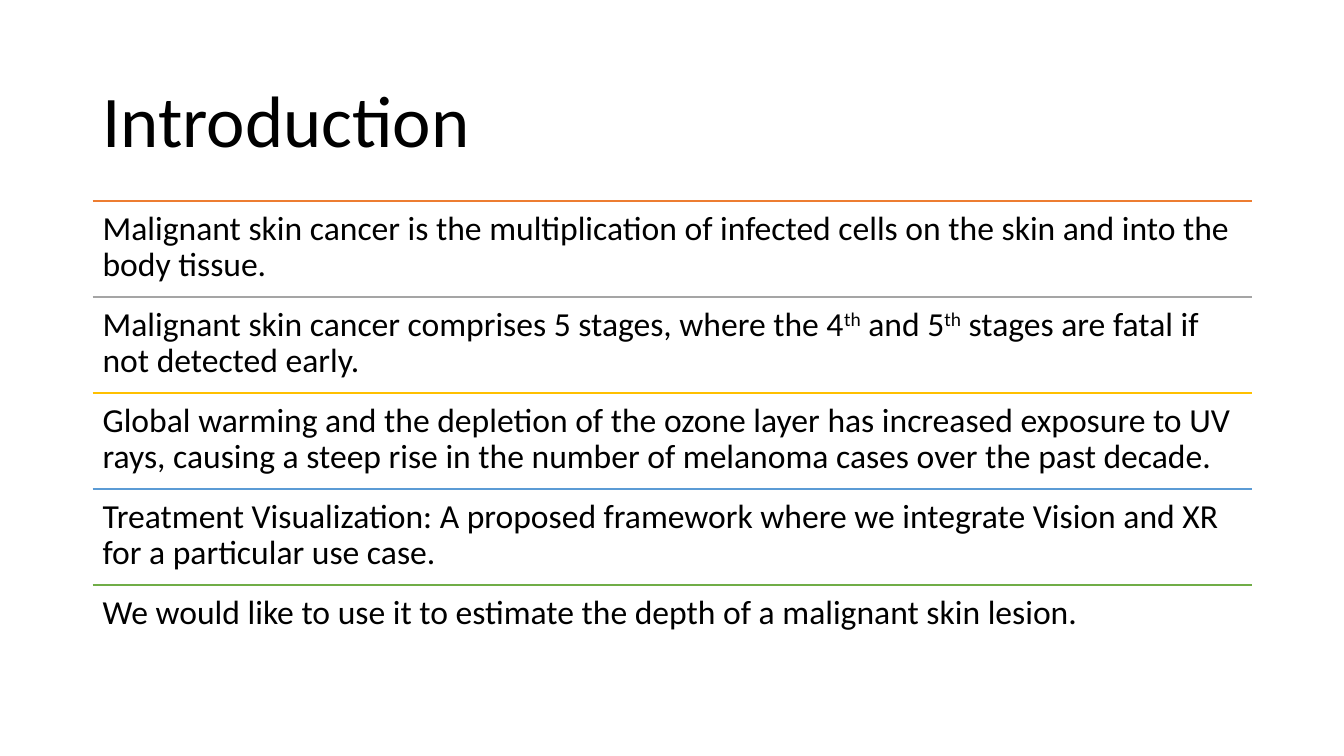
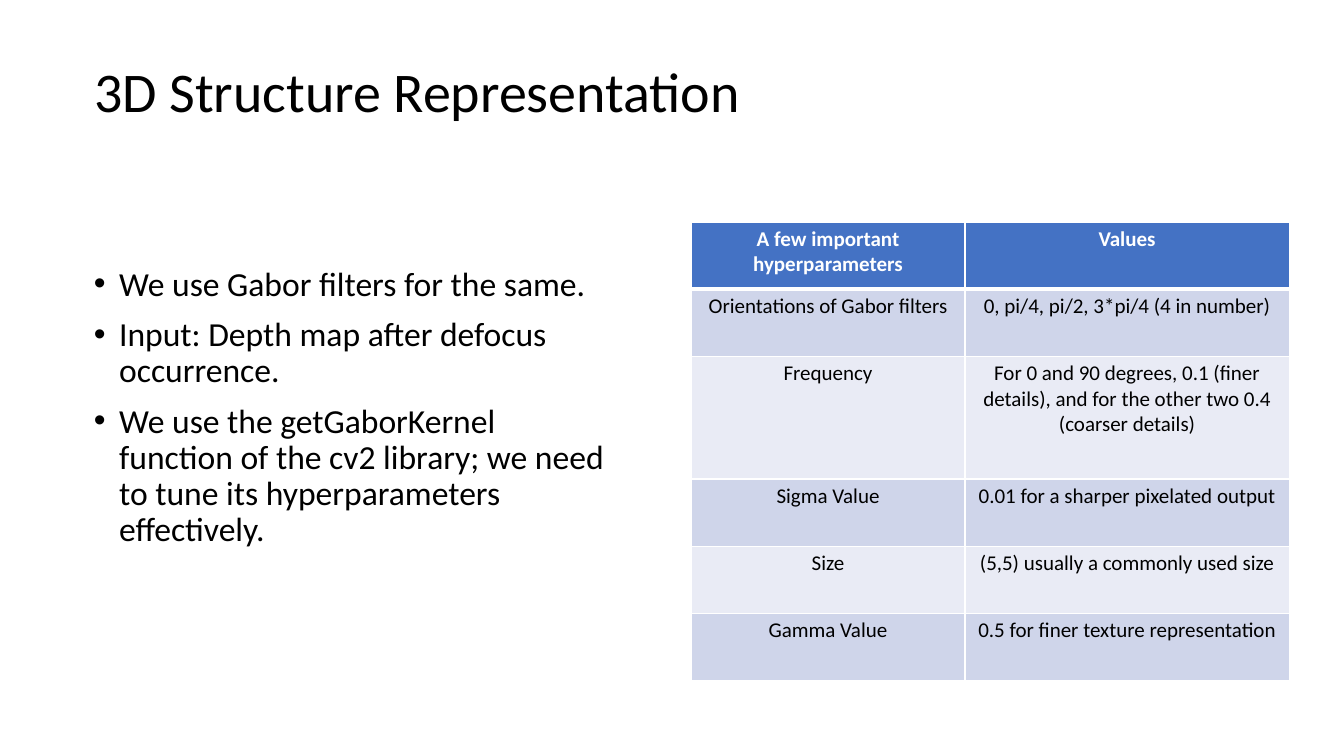
from lxml import etree
from pptx import Presentation
from pptx import util as u
from pptx.dml.color import RGBColor
from pptx.enum import shapes, text
from pptx.oxml.ns import qn

# Grid: 800 columns by 450 rows of square cells
prs = Presentation()
prs.slide_width, prs.slide_height = u.Inches(40 / 3), u.Inches(7.5)
cell = prs.slide_width // 800

BLACK, WHITE = "000000", "FFFFFF"
HEAD, BANDS = "4472C4", ("E9EBF5", "CFD5EA")


def hue(color, value):
    color.rgb = RGBColor.from_string(value)


def style(para, size, value=BLACK, bold=False):
    para.font.name, para.font.size = "Calibri", u.Pt(size)
    para.font.bold = bold
    hue(para.font.color, value)


# Titles: text, size, then left, top, width and height in cells
titles = [
    ("Introduction", 52, (55, 37, 690, 74)),
    ("3D Structure Representation", 40, (50, 16, 706, 80)),
]
pages = []
for words, size, place in titles:
    page = prs.slides.add_slide(prs.slide_layouts[5])
    title = page.shapes.title
    title.left, title.top, title.width, title.height = [n * cell for n in place]
    frame = title.text_frame
    frame.text = words
    frame.auto_size = text.MSO_AUTO_SIZE.NONE
    frame.vertical_anchor = text.MSO_ANCHOR.MIDDLE
    para = frame.paragraphs[0]
    para.alignment, para.line_spacing = text.PP_ALIGN.LEFT, 0.9
    style(para, size)
    pages.append(page)
intro, model = pages

# Introduction: ruled rows; every second piece of a row is superscript
rows = [
    ("ED7D31", ["Malignant skin cancer is the multiplication of infected cells "
                "on the skin and into the body tissue."]),
    ("A5A5A5", ["Malignant skin cancer comprises 5 stages, where the 4", "th",
                " and 5", "th", " stages are fatal if not detected early."]),
    ("FFC000", ["Global warming and the depletion of the ozone layer has "
                "increased exposure to UV rays, causing a steep rise in the "
                "number of melanoma cases over the past decade."]),
    ("5B9BD5", ["Treatment Visualization: A proposed framework where we "
                "integrate Vision and XR for a particular use case."]),
    ("70AD47", ["We would like to use it to estimate the depth of a malignant "
                "skin lesion."]),
]
left, wide, tall = int(55.2 * cell), 690 * cell, int(57.1 * cell)
for i, (tint, parts) in enumerate(rows):
    top = int(119.75 * cell) + i * tall
    rule = intro.shapes.add_connector(
        shapes.MSO_CONNECTOR.STRAIGHT, left, top, left + wide, top)
    rule.line.width = u.Pt(1)
    hue(rule.line.color, tint)
    etree.SubElement(rule._element.spPr, qn("a:effectLst"))

    frame = intro.shapes.add_textbox(left, top, wide, tall).text_frame
    frame.word_wrap = True
    frame.margin_top = frame.margin_bottom = u.Inches(0.1)
    para = frame.paragraphs[0]
    para.line_spacing = 0.9
    style(para, 24)
    for j, part in enumerate(parts):
        run = para.add_run()
        run.text = part
        if j % 2:
            run._r.get_or_add_rPr().set("baseline", "30000")

# 3D structure: white band behind the title
band = model.shapes.add_shape(
    shapes.MSO_SHAPE.RECTANGLE, 0, 0, prs.slide_width, 114 * cell)
band.shadow.inherit = False
band.fill.solid()
hue(band.fill.fore_color, WHITE)
band.line.fill.background()
model.shapes.title._element.addprevious(band._element)

# 3D structure: bullet list
points = [
    "We use Gabor filters for the same.",
    "Input: Depth map after defocus occurrence.",
    "We use the getGaborKernel function of the cv2 library; we need to tune "
    "its hyperparameters effectively.",
]
frame = model.shapes.add_textbox(
    *[n * cell for n in (50, 151, 320, 184)]).text_frame
frame.word_wrap = True
frame.vertical_anchor = text.MSO_ANCHOR.MIDDLE
for i, point in enumerate(points):
    para = frame.add_paragraph() if i else frame.paragraphs[0]
    para.text = point
    para.line_spacing, para.space_before = 0.9, u.Pt(10 if i else 0)
    props = para._p.get_or_add_pPr()
    props.set("marL", str(u.Inches(0.25)))
    props.set("indent", str(-u.Inches(0.25)))
    etree.SubElement(props, qn("a:buFont"), typeface="Arial")
    etree.SubElement(props, qn("a:buChar"), char="•")
    style(para, 24)

# 3D structure: table of settings
data = [
    ("A few important hyperparameters", "Values"),
    ("Orientations of Gabor filters", "0, pi/4, pi/2, 3*pi/4 (4 in number)"),
    ("Frequency", "For 0 and 90 degrees, 0.1 (finer details), and for the "
                  "other two 0.4 (coarser details)"),
    ("Sigma Value", "0.01 for a sharper pixelated output"),
    ("Size", "(5,5) usually a commonly used size"),
    ("Gamma Value", "0.5 for finer texture representation"),
]
spans, steps = (163, 193), (40, 40, 73, 40, 40, 40)
table = model.shapes.add_table(
    len(data), len(spans), int(411.4 * cell), int(132.2 * cell),
    sum(spans) * cell, sum(steps) * cell).table
for col, span in zip(table.columns, spans):
    col.width = span * cell
for r, (line, step) in enumerate(zip(data, steps)):
    table.rows[r].height = step * cell
    for c, words in enumerate(line):
        box = table.cell(r, c)
        box.text = words
        box.margin_left = box.margin_right = u.Inches(0.08)
        box.margin_top = box.margin_bottom = u.Inches(0.04)
        para = box.text_frame.paragraphs[0]
        para.alignment = text.PP_ALIGN.CENTER
        style(para, 15, BLACK if r else WHITE, r == 0)
        # White borders, heavier under the header
        for side in "LRTB":
            thick = 3 if (r, side) in ((0, "B"), (1, "T")) else 1
            edge = etree.SubElement(box._tc.get_or_add_tcPr(),
                                    qn("a:ln" + side), w=str(u.Pt(thick)))
            fill = etree.SubElement(edge, qn("a:solidFill"))
            etree.SubElement(fill, qn("a:srgbClr"), val=WHITE)
        box.fill.solid()
        hue(box.fill.fore_color, BANDS[r % 2] if r else HEAD)

prs.save("out.pptx")
